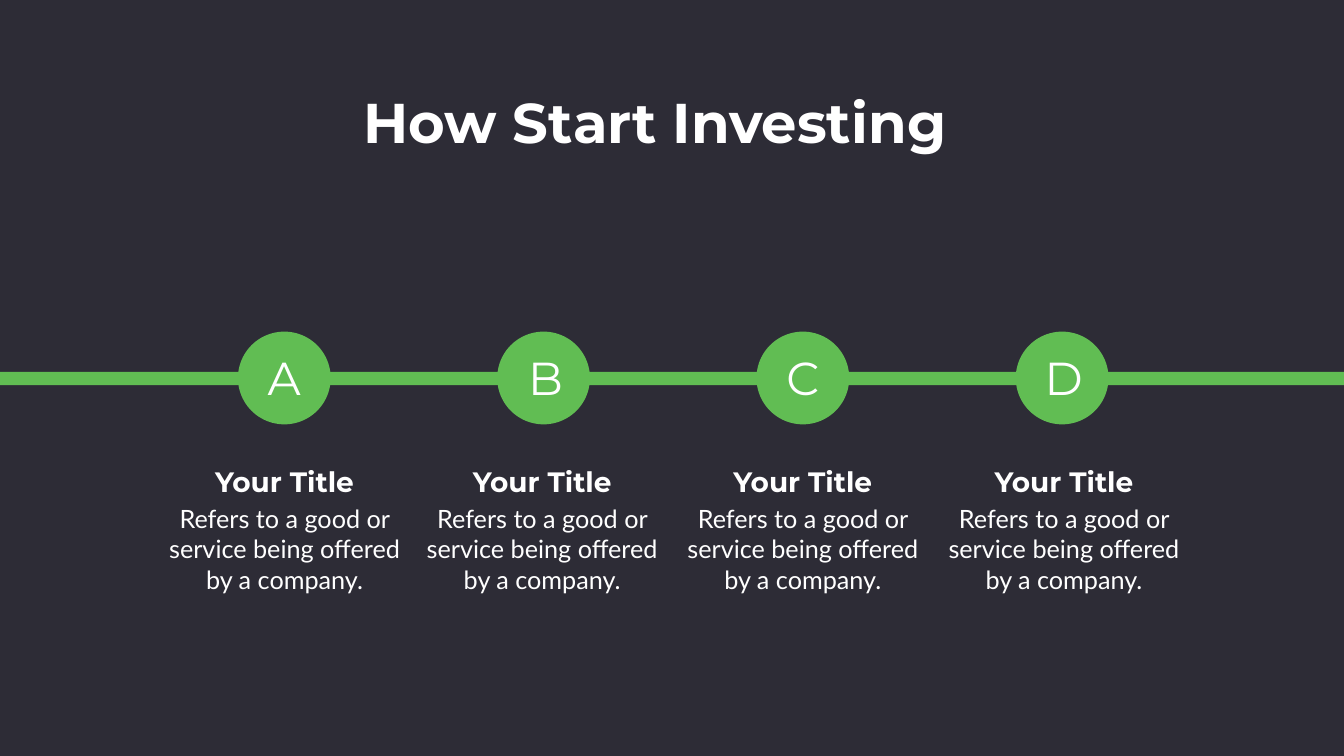
from pptx import Presentation
from pptx.dml.color import RGBColor
from pptx.enum.shapes import MSO_SHAPE
from pptx.enum.text import PP_ALIGN
from pptx.util import Inches, Pt

RECTANGLE = MSO_SHAPE.RECTANGLE
OVAL = MSO_SHAPE.OVAL
CENTER = PP_ALIGN.CENTER

DARK = RGBColor(0x2D, 0x2C, 0x36)
GREEN = RGBColor(0x61, 0xBD, 0x53)
WHITE = RGBColor(0xFF, 0xFF, 0xFF)

HEADING_FONT = "Montserrat"
BODY_FONT = "Lato"

SLIDE_WIDTH, SLIDE_HEIGHT = 26.66, 15
TITLE = "How Start Investing"
STEP_TITLE = "Your Title"
STEP_TEXT = "Refers to a good or service being offered by a company."
STEPS = [
    {"letter": "A", "letter_left": 4.46, "text_left": 2.81},
    {"letter": "B", "letter_left": 9.64, "text_left": 7.92},
    {"letter": "C", "letter_left": 14.75, "text_left": 13.09},
    {"letter": "D", "letter_left": 19.92, "text_left": 18.27},
]

FIRST_CIRCLE_LEFT, CIRCLE_TOP = 4.72, 6.58
CIRCLE_SIZE = 1.84
CIRCLE_PITCH = 5.143
LINE_HEIGHT = 0.26
LINE_TOP = CIRCLE_TOP + (CIRCLE_SIZE - LINE_HEIGHT) / 2 + 0.01
TEXT_WIDTH = 5.67


def add_filled_shape(slide, kind, left, top, width, height, color):
    shape = slide.shapes.add_shape(
        kind, Inches(left), Inches(top), Inches(width), Inches(height))
    shape.shadow.inherit = False
    shape.fill.solid()
    shape.fill.fore_color.rgb = color
    shape.line.fill.background()


def add_text(slide, text, left, top, width, height, size,
             font=HEADING_FONT, bold=False, margins=(0.1, 0.05)):
    box = slide.shapes.add_textbox(
        Inches(left), Inches(top), Inches(width), Inches(height))
    frame = box.text_frame
    frame.word_wrap = True
    frame.margin_left = frame.margin_right = Inches(margins[0])
    frame.margin_top = frame.margin_bottom = Inches(margins[1])
    paragraph = frame.paragraphs[0]
    paragraph.alignment = CENTER
    run = paragraph.add_run()
    run.text = text
    run.font.name = font
    run.font.size = Pt(size)
    run.font.bold = bold
    run.font.color.rgb = WHITE


def main():
    presentation = Presentation()
    presentation.slide_width = Inches(SLIDE_WIDTH)
    presentation.slide_height = Inches(SLIDE_HEIGHT)
    slide = presentation.slides.add_slide(presentation.slide_layouts[6])

    add_filled_shape(slide, RECTANGLE, 0, 0, SLIDE_WIDTH, SLIDE_HEIGHT, DARK)
    add_filled_shape(slide, RECTANGLE, 0, LINE_TOP, SLIDE_WIDTH, LINE_HEIGHT, GREEN)
    add_text(slide, TITLE, 6.24, 1.69, 13.51, 1.45, size=80, bold=True)

    for index, step in enumerate(STEPS):
        circle_left = FIRST_CIRCLE_LEFT + index * CIRCLE_PITCH
        add_filled_shape(slide, OVAL, circle_left, CIRCLE_TOP,
                         CIRCLE_SIZE, CIRCLE_SIZE, GREEN)
        add_text(slide, step["letter"], step["letter_left"], 6.88, 2.36, 1.21, size=66)
        add_text(slide, STEP_TEXT, step["text_left"], 9.87, TEXT_WIDTH, 2.06,
                 size=36, font=BODY_FONT, margins=(0.24, 0.12))
        add_text(slide, STEP_TITLE, step["text_left"], 9.16, TEXT_WIDTH, 0.71,
                 size=40, bold=True)

    presentation.save("out.pptx")


if __name__ == "__main__":
    main()
